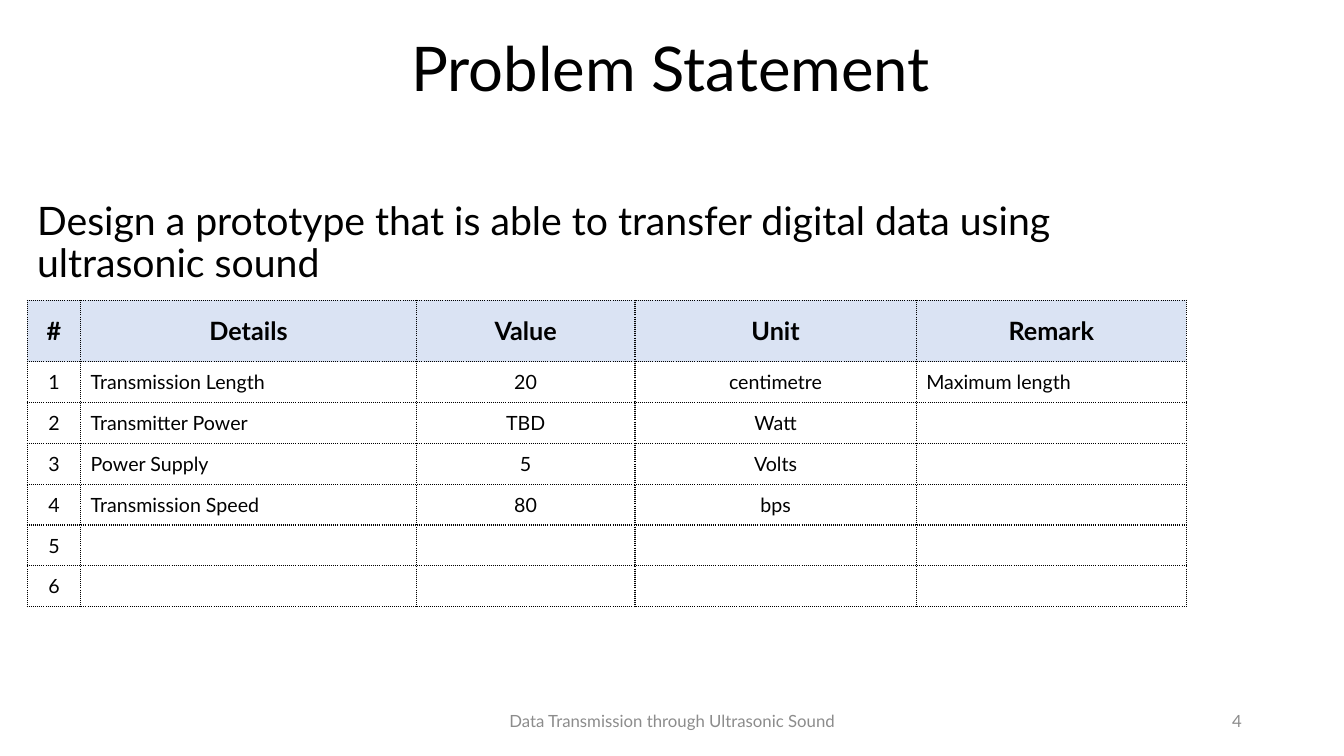
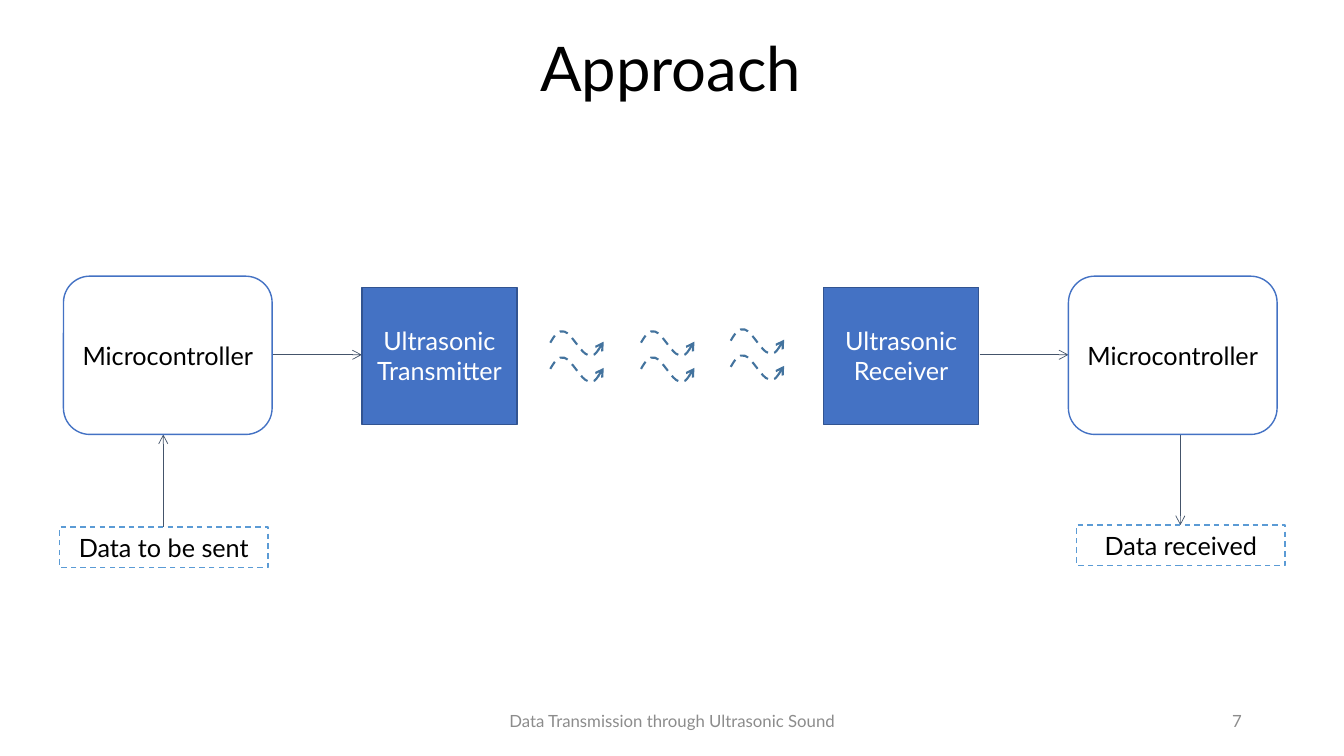
import pptx
import pptx.util
import pptx.dml.color
import pptx.enum.dml
import pptx.enum.shapes
import pptx.enum.text
import pptx.oxml
import pptx.oxml.ns
import lxml.etree

Inches = pptx.util.Inches
Pt = pptx.util.Pt
qn = pptx.oxml.ns.qn
Align = pptx.enum.text.PP_ALIGN
Anchor = pptx.enum.text.MSO_ANCHOR
Dash = pptx.enum.dml.MSO_LINE
Kind = pptx.enum.shapes.MSO_SHAPE

BLACK, WHITE, GREY = "000000", "FFFFFF", "8C8C8C"
BLUE, NAVY, SKY = "4472C4", "325491", "5B9BD5"
SLATE, TEAL, PALE = "44546A", "43739E", "DAE3F3"


def tint(code):
    return pptx.dml.color.RGBColor.from_string(code)


def write(frame, text, size=18, color=BLACK, bold=False, align=Align.CENTER,
          anchor=Anchor.MIDDLE, lead=None):
    frame.word_wrap = True
    frame.vertical_anchor = anchor
    para = frame.paragraphs[0]
    para.alignment = align
    para.line_spacing = lead
    run = para.add_run()
    run.text = text
    run.font.name = "Lato"
    run.font.size = Pt(size)
    run.font.bold = bold
    run.font.color.rgb = tint(color)


deck = pptx.Presentation()
deck.slide_width = Inches(40 / 3)
deck.slide_height = Inches(7.5)

pages = []
for title, number in [("Problem Statement", "4"), ("Approach", "7")]:
    shapes = deck.slides.add_slide(deck.slide_layouts[6]).shapes
    pages.append(shapes)
    for text, place, style in [
        (title, (0.97, 0.24, 11.37, 0.94), dict(size=44, lead=0.9)),
        (number, (9.42, 6.95, 3, 0.4), dict(size=12, color=GREY, align=Align.RIGHT)),
        ("Data Transmission through Ultrasonic Sound", (4.42, 6.95, 4.5, 0.4),
         dict(size=12, color=GREY)),
    ]:
        write(shapes.add_textbox(*map(Inches, place)).text_frame, text, **style)

problem, approach = pages

goal = problem.add_textbox(*map(Inches, (0.27, 1.35, 11.5, 5.25))).text_frame
goal.margin_top = Inches(0.65)
write(goal, "Design a prototype that is able to transfer digital data using ultrasonic sound",
      size=28, align=Align.LEFT, anchor=Anchor.TOP, lead=0.9)

rows = [
    ("#", "Details", "Value", "Unit", "Remark"),
    ("1", "Transmission Length", "20", "centimetre", "Maximum length"),
    ("2", "Transmitter Power", "TBD", "Watt", ""),
    ("3", "Power Supply", "5", "Volts", ""),
    ("4", "Transmission Speed", "80", "bps", ""),
    ("5", "", "", "", ""),
    ("6", "", "", "", ""),
]
widths = [0.53, 3.33, 2.17, 2.79, 2.68]
tall, total = 0.61, 3.04
short = (total - tall) / (len(rows) - 1)
grid = problem.add_table(len(rows), len(widths), Inches(0.27), Inches(2.98),
                         Inches(sum(widths)), Inches(total)).table
grid.first_row = False
grid.horz_banding = False
for col, width in zip(grid.columns, widths):
    col.width = Inches(width)

for r, row in enumerate(rows):
    head = r == 0
    grid.rows[r].height = Inches(tall if head else short)
    for c, text in enumerate(row):
        cell = grid.cell(r, c)
        cell.vertical_anchor = Anchor.MIDDLE
        for side in ("lnL", "lnR", "lnT", "lnB"):
            edge = lxml.etree.SubElement(cell._tc.get_or_add_tcPr(), qn("a:" + side), w="12700")
            fill = lxml.etree.SubElement(edge, qn("a:solidFill"))
            lxml.etree.SubElement(fill, qn("a:srgbClr"), val=BLACK)
            lxml.etree.SubElement(edge, qn("a:prstDash"), val="sysDot")
        if head:
            cell.fill.solid()
            cell.fill.fore_color.rgb = tint(PALE)
        else:
            cell.fill.background()
        if text:
            left = not head and c in (1, 4)
            write(cell.text_frame, text, size=18 if head else 14, bold=head,
                  align=Align.LEFT if left else Align.CENTER)
        else:
            cell.text_frame.paragraphs[0].font.size = Pt(14)

strokes = []
for ends in [
    (2.7, 3.52, 3.59, 3.52),
    (9.72, 3.52, 10.6, 3.52),
    (1.62, 5.23, 1.62, 4.31),
    (11.71, 4.31, 11.71, 5.21),
]:
    arrow = approach.add_connector(pptx.enum.shapes.MSO_CONNECTOR.STRAIGHT,
                                   *map(Inches, ends))
    strokes.append((arrow, SLATE, 0.5, None))

wave = [
    (0.04, -0.07), (0.08, -0.13), (0.14, -0.11),
    (0.21, -0.09), (0.31, 0.11), (0.37, 0.12),
    (0.44, 0.14), (0.48, 0.07), (0.53, -0.01),
]
for x, y in [(5.46, 3.4), (6.36, 3.4), (7.25, 3.38)]:
    for drop in (0, 0.26):
        pen = approach.build_freeform(Inches(x), Inches(y + drop))
        pen.add_line_segments([(Inches(x + dx), Inches(y + drop + dy)) for dx, dy in wave],
                              close=False)
        ripple = pen.convert_to_shape()
        ripple.fill.background()
        legs = list(ripple._element.iter(qn("a:lnTo")))
        for k in range(0, len(legs), 3):
            curve = lxml.etree.SubElement(legs[k].getparent(), qn("a:cubicBezTo"))
            for leg in legs[k:k + 3]:
                curve.append(leg[0])
                leg.getparent().remove(leg)
        strokes.append((ripple, TEAL, 1.5, Dash.DASH))

for stroke, color, weight, dash in strokes:
    stroke.line.color.rgb = tint(color)
    stroke.line.width = Pt(weight)
    stroke.line.dash_style = dash
    props = stroke._element.spPr
    lxml.etree.SubElement(props.find(qn("a:ln")), qn("a:tailEnd"), type="arrow")
    lxml.etree.SubElement(props, qn("a:effectLst"))

chip = (Kind.ROUNDED_RECTANGLE, 2.07, 1.57, WHITE, BLUE, None, BLACK)
sonic = (Kind.RECTANGLE, 1.54, 1.36, BLUE, NAVY, None, WHITE)
data = (Kind.RECTANGLE, 2.07, 0.4, WHITE, SKY, Dash.DASH, BLACK)
for text, x, y, style in [
    ("Microcontroller", 0.63, 2.74, chip),
    ("Ultrasonic Transmitter", 3.59, 2.85, sonic),
    ("Ultrasonic Receiver", 8.17, 2.85, sonic),
    ("Microcontroller", 10.6, 2.74, chip),
    ("Data to be sent", 0.59, 5.23, data),
    ("Data received", 10.68, 5.21, data),
]:
    kind, width, height, fill, line, dash, ink = style
    box = approach.add_shape(kind, *map(Inches, (x, y, width, height)))
    box.shadow.inherit = False
    box.fill.solid()
    box.fill.fore_color.rgb = tint(fill)
    box.line.color.rgb = tint(line)
    box.line.width = Pt(1)
    box.line.dash_style = dash
    write(box.text_frame, text, color=ink)

deck.save("out.pptx")
